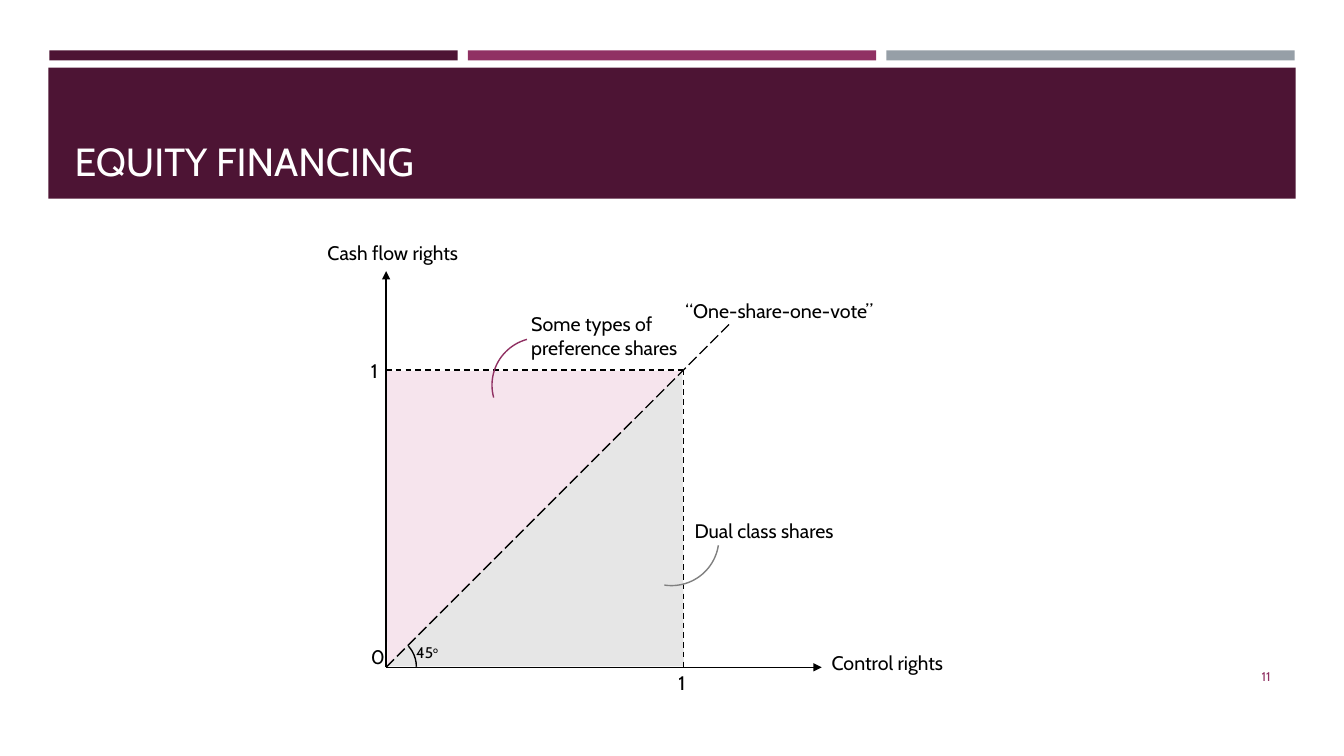
"""Builds the equity financing slide: cash flow rights against control rights."""
import lxml.etree
import pptx
import pptx.dml.color
import pptx.enum.dml
import pptx.enum.shapes
import pptx.enum.text
import pptx.oxml.ns
import pptx.util

COLOURS = {
    "plum": "4D1434", "magenta": "903163", "slate": "969FA7", "pink": "EFD0E0",
    "silver": "D3D3D3", "grey": "808080", "black": "000000", "white": "FFFFFF",
}
FONT = "Cabin"
SHAPE = pptx.enum.shapes.MSO_SHAPE
DASH = pptx.enum.dml.MSO_LINE
ANCHOR = pptx.enum.text.MSO_ANCHOR
ALIGN = pptx.enum.text.PP_ALIGN
Inches = pptx.util.Inches


def colour(name):
    return pptx.dml.color.RGBColor.from_string(COLOURS[name])


def add_element(parent, tag, **attributes):
    element = lxml.etree.SubElement(parent, pptx.oxml.ns.qn(tag))
    for key, value in attributes.items():
        element.set(key, value)
    return element


class Painter:
    def __init__(self, page):
        self.page = page

    def add_span(self, para, text, size, ink="black", raised=False):
        span = para.add_run()
        span.text = text
        span.font.name = FONT
        span.font.size = pptx.util.Pt(size)
        span.font.color.rgb = colour(ink)
        if raised:
            span._r.get_or_add_rPr().set("baseline", "30000")

    def title(self, text, place):
        box = self.page.shapes.title
        box.left, box.top, box.width, box.height = map(Inches, place)
        tree = box.element.getparent()
        tree.append(box.element)
        box.text_frame.vertical_anchor = ANCHOR.BOTTOM
        para = box.text_frame.paragraphs[0]
        para.alignment = ALIGN.LEFT
        self.add_span(para, text, 28, "white")

    def label(self, text, place, size=14, ink="black", align=ALIGN.LEFT, anchor=ANCHOR.TOP):
        box = self.page.shapes.add_textbox(*map(Inches, place))
        box.text_frame.word_wrap = True
        box.text_frame.vertical_anchor = anchor
        para = box.text_frame.paragraphs[0]
        para.alignment = align
        self.add_span(para, text, size, ink)
        return para

    def area(self, kind, place, fill, opacity=100):
        shape = self.page.shapes.add_shape(kind, *map(Inches, place))
        shape.shadow.inherit = False
        shape.fill.solid()
        shape.fill.fore_color.rgb = colour(fill)
        shape.line.fill.background()
        if opacity < 100:
            tint = shape.element.spPr.find(".//" + pptx.oxml.ns.qn("a:srgbClr"))
            add_element(tint, "a:alpha", val=str(opacity * 1000))
        return shape

    def arc(self, place, ink, rotation=0):
        shape = self.page.shapes.add_shape(SHAPE.ARC, *map(Inches, place))
        shape.shadow.inherit = False
        shape.fill.background()
        shape.line.color.rgb = colour(ink)
        shape.line.width = pptx.util.Pt(1)
        shape.rotation = rotation
        return shape

    def line(self, start, end, dash=None, arrow=False):
        line = self.page.shapes.add_connector(
            pptx.enum.shapes.MSO_CONNECTOR.STRAIGHT, *map(Inches, start + end))
        line.line.color.rgb = colour("black")
        line.line.width = pptx.util.Pt(1)
        if dash:
            line.line.dash_style = dash
        if arrow:
            add_element(line.line._get_or_add_ln(), "a:tailEnd", type="triangle")
        add_element(line.element.spPr, "a:effectLst")


def main():
    deck = pptx.Presentation()
    deck.slide_width, deck.slide_height = Inches(13.33), Inches(7.5)
    painter = Painter(deck.slides.add_slide(deck.slide_layouts[5]))

    for index, fill in enumerate(("plum", "magenta", "slate")):
        painter.area(SHAPE.RECTANGLE, (0.49 + 4.15 * index, 0.5, 4.05, 0.1), fill)
    painter.area(SHAPE.RECTANGLE, (0.48, 0.67, 12.37, 1.3), "plum")
    painter.title("EQUITY FINANCING", (0.64, 0.77, 12.06, 1.11))
    painter.label("11", (11.55, 6.51, 1.15, 0.4), 9, "magenta", ALIGN.RIGHT, ANCHOR.MIDDLE)

    left, bottom, side = 3.83, 6.62, 2.95
    right, top = left + side, bottom - side
    preference = painter.area(SHAPE.ISOSCELES_TRIANGLE, (left, 3.68, side, 2.92), "pink", 56)
    preference.rotation = 180
    dual = painter.area(SHAPE.ISOSCELES_TRIANGLE, (left, 3.69, side, 2.92), "silver", 56)
    for triangle in (preference, dual):
        triangle.adjustments[0] = 0.996

    painter.line((left, bottom), (left, 2.69), arrow=True)
    painter.line((left, bottom), (8.15, bottom), arrow=True)
    painter.line((left, top), (right, top), DASH.DASH)
    painter.line((right, top), (right, bottom), DASH.DASH)
    painter.line((left, bottom), (left + 3.41, bottom - 3.41), DASH.LONG_DASH)

    for text, place in (
        ("Dual class shares", (6.79, 5.1, 1.97, 0.34)),
        ("Control rights", (8.15, 6.41, 1.62, 0.34)),
        ("Some types of preference shares", (5.17, 3.05, 1.97, 0.57)),
        ("“One-share-one-vote”", (6.7, 2.92, 2.15, 0.34)),
        ("Cash flow rights", (3.15, 2.34, 1.97, 0.34)),
        ("0", (3.58, 6.35, 0.29, 0.34)),
        ("1", (6.63, 6.61, 0.29, 0.34)),
        ("1", (3.58, 3.51, 0.29, 0.34)),
    ):
        painter.label(text, place)

    painter.arc((4.88, 3.35, 0.94, 0.94), "magenta", 254.8)
    painter.arc((6.19, 4.87, 0.94, 0.94), "grey", 98.6)
    angle = painter.arc((3.52, 6.31, 0.61, 0.61), "black")
    angle.adjustments[0] = 190.7
    degrees = painter.label("45", (4.03, 6.33, 0.46, 0.29), 11)
    painter.add_span(degrees, "o", 11, raised=True)

    deck.save("out.pptx")


if __name__ == "__main__":
    main()
